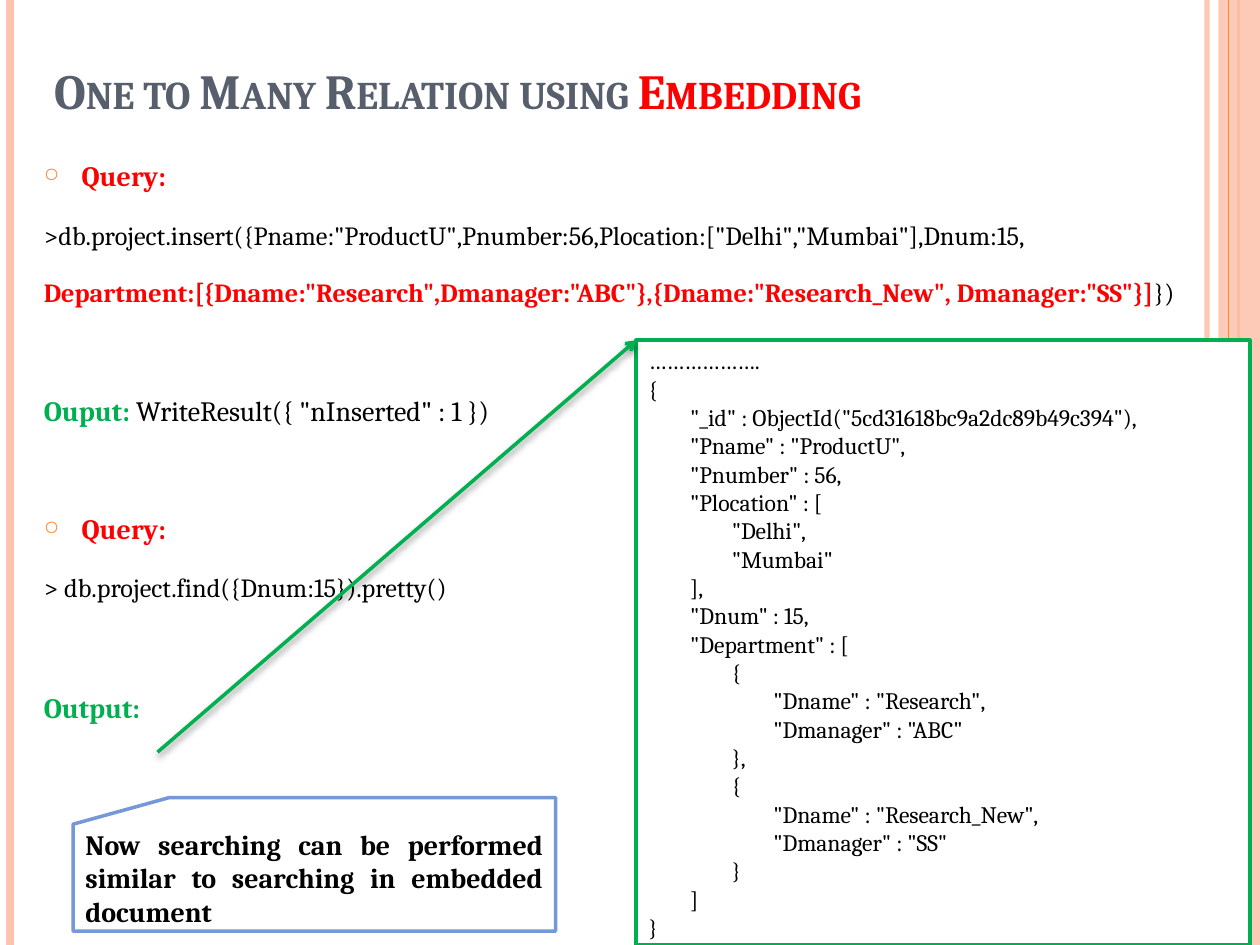
from dataclasses import dataclass

from lxml.etree import SubElement
from pptx import Presentation
from pptx.dml.color import RGBColor
from pptx.enum.shapes import MSO_CONNECTOR as Connector, MSO_SHAPE as Shape
from pptx.enum.text import MSO_ANCHOR as Anchor, MSO_AUTO_SIZE as AutoSize, PP_ALIGN as Align
from pptx.oxml.ns import qn
from pptx.util import Inches, Pt

WIDTH, HEIGHT = 10, 7.5


@dataclass(frozen=True)
class Theme:
    font: str = "Cambria"
    title: str = "575F6D"
    text: str = "000000"
    red: str = "FF0000"
    green: str = "00B050"
    blue: str = "7598D9"
    orange: str = "FE8637"
    peach: str = "FEC3AE"
    white: str = "FFFFFF"
    title_size: float = 28
    label_size: float = 16
    query_size: float = 15
    code_size: float = 13.5
    code_indent: float = 0.33


THEME = Theme()


@dataclass(frozen=True)
class Stripe:
    x: float
    color: str
    weight: float
    alpha: int = 100


@dataclass(frozen=True)
class Span:
    text: str
    color: str = THEME.text
    bold: bool = False
    size: float = THEME.query_size


@dataclass(frozen=True)
class Line:
    spans: tuple[Span, ...]
    before: float = 6
    bullet: bool = False


def label(text: str, color: str) -> Span:
    return Span(text, color, True, THEME.label_size)


QUERY = label("Query:", THEME.red)
STRIPES = (
    Stripe(9.58, THEME.peach, 3, 93),
    Stripe(0.08, THEME.peach, 4.5),
    Stripe(9.83, THEME.orange, 1.5),
)
OVERLAY_STRIPE = Stripe(9.75, THEME.orange, 0.75)
BODY = (
    Line((QUERY,), bullet=True),
    Line((Span('>db.project.insert({Pname:"ProductU",Pnumber:56,'
               'Plocation:["Delhi","Mumbai"],Dnum:15,'),)),
    Line((Span('Department:[{Dname:"Research",Dmanager:"ABC"},'
               '{Dname:"Research_New", Dmanager:"SS"}]', THEME.red, True),
          Span("})"))),
    Line((label("Ouput: ", THEME.green),
          Span('WriteResult({ "nInserted" : 1 })', size=THEME.label_size)), before=39),
    Line((QUERY,), before=39, bullet=True),
    Line((Span("> db.project.find({Dnum:15}).pretty()"),)),
    Line((label("Output:", THEME.green),), before=40.5),
)
# Depth of nesting and text of each output line
RESULT = (
    (0, "………………."),
    (0, "{"),
    (1, '"_id" : ObjectId("5cd31618bc9a2dc89b49c394"),'),
    (1, '"Pname" : "ProductU",'),
    (1, '"Pnumber" : 56,'),
    (1, '"Plocation" : ['),
    (2, '"Delhi",'),
    (2, '"Mumbai"'),
    (1, "],"),
    (1, '"Dnum" : 15,'),
    (1, '"Department" : ['),
    (2, "{"),
    (3, '"Dname" : "Research",'),
    (3, '"Dmanager" : "ABC"'),
    (2, "},"),
    (2, "{"),
    (3, '"Dname" : "Research_New",'),
    (3, '"Dmanager" : "SS"'),
    (2, "}"),
    (1, "]"),
    (0, "}"),
)


def rgb(color: str) -> RGBColor:
    return RGBColor.from_string(color)


def set_alpha(fill, percent: int) -> None:
    if percent < 100:
        color = fill._xPr.find(qn("a:solidFill"))[0]
        SubElement(color, qn("a:alpha"), val=str(percent * 1000))


def style(font, size: float, color: str, bold: bool = False) -> None:
    font.name, font.size, font.bold = THEME.font, Pt(size), bold
    font.color.rgb = rgb(color)


def add_line(page, start, end, color: str, weight: float, alpha: int = 100):
    """Draw a straight line and return it with its empty effect list."""
    line = page.shapes.add_connector(Connector.STRAIGHT, *map(Inches, (*start, *end)))
    line.line.width = Pt(weight)
    line.line.color.rgb = rgb(color)
    set_alpha(line.line.fill, alpha)
    return line, SubElement(line._element.spPr, qn("a:effectLst"))


def add_stripe(page, stripe: Stripe) -> None:
    add_line(page, (stripe.x, 0), (stripe.x, HEIGHT), stripe.color, stripe.weight, stripe.alpha)


def add_panel(page, kind, bounds, fill: str, border: str | None = None, alpha: int = 100):
    panel = page.shapes.add_shape(kind, *map(Inches, bounds))
    panel.shadow.inherit = False
    panel.fill.solid()
    panel.fill.fore_color.rgb = rgb(fill)
    set_alpha(panel.fill, alpha)
    if border:
        panel.line.color.rgb = rgb(border)
        panel.line.width = Pt(2)
    else:
        panel.line.fill.background()
    panel.text_frame.word_wrap = True
    return panel


def add_spans(para, spans: tuple[Span, ...]) -> None:
    for span in spans:
        run = para.add_run()
        run.text = span.text
        style(run.font, span.size, span.color, span.bold)


def add_bullet(para) -> None:
    props = para._p.get_or_add_pPr()
    props.set("marL", str(Inches(0.3)))
    props.set("indent", str(Inches(-0.3)))
    SubElement(SubElement(props, qn("a:buClr")), qn("a:srgbClr"), val=THEME.orange)
    SubElement(props, qn("a:buSzPct"), val="70000")
    SubElement(props, qn("a:buChar"), char="○")


def paragraphs(frame, items):
    """Pair each item with a paragraph, using the first one already there."""
    for index, item in enumerate(items):
        yield (frame.add_paragraph() if index else frame.paragraphs[0]), item


def add_title(page) -> None:
    title = page.shapes.title
    title.left, title.top, title.width, title.height = map(Inches, (0.33, -0.25, 8.92, 1.25))
    frame = title.text_frame
    frame.vertical_anchor, frame.auto_size = Anchor.BOTTOM, AutoSize.NONE
    para = frame.paragraphs[0]
    para.alignment = Align.LEFT
    add_spans(para, (Span("One to Many Relation using ", THEME.title, True, THEME.title_size),
                     Span("Embedding", THEME.red, True, THEME.title_size)))
    for run in para.runs:
        run.font._element.set("cap", "small")


def add_body(page) -> None:
    box = page.shapes.add_textbox(*map(Inches, (0.25, 1.08, 9.17, 5.33)))
    box.text_frame.word_wrap = True
    for para, line in paragraphs(box.text_frame, BODY):
        para.line_spacing, para.space_before = 1.5, Pt(line.before)
        if line.bullet:
            add_bullet(para)
        add_spans(para, line.spans)


def add_result(page) -> None:
    panel = add_panel(page, Shape.RECTANGLE, (5.05, 2.7, 4.87, 4.8), THEME.white, THEME.green)
    panel.text_frame.vertical_anchor = Anchor.TOP
    for para, (depth, text) in paragraphs(panel.text_frame, RESULT):
        para.text, para.alignment = text, Align.LEFT
        style(para.font, THEME.code_size, THEME.text)
        para._p.get_or_add_pPr().set("marL", str(Inches(depth * THEME.code_indent)))


def add_arrow(page) -> None:
    arrow, effects = add_line(page, (1.25, 5.97), (5.05, 2.7), THEME.green, 2)
    SubElement(arrow.line._get_or_add_ln(), qn("a:tailEnd"), type="arrow")
    shadow = SubElement(effects, qn("a:outerShdw"), blurRad=str(Pt(4)), dist=str(Pt(2)),
                        dir=str(90 * 60000), rotWithShape="0")
    color = SubElement(shadow, qn("a:srgbClr"), val=THEME.text)
    SubElement(color, qn("a:alpha"), val="40000")


def add_note(page) -> None:
    card = add_panel(page, Shape.FLOWCHART_CARD, (0.58, 6.33, 3.83, 1.06), THEME.white, THEME.blue)
    card.text_frame.vertical_anchor = Anchor.MIDDLE
    para = card.text_frame.paragraphs[0]
    para.text = "Now searching can be performed similar to searching in embedded document"
    para.alignment = Align.JUSTIFY
    style(para.font, THEME.label_size, THEME.text, True)


def main() -> None:
    deck = Presentation()
    deck.slide_width, deck.slide_height = Inches(WIDTH), Inches(HEIGHT)
    page = deck.slides.add_slide(deck.slide_layouts[5])
    # Side stripes
    for stripe in STRIPES:
        add_stripe(page, stripe)
    add_panel(page, Shape.RECTANGLE, (9.67, 0, 0.33, HEIGHT), THEME.peach, alpha=87)
    add_stripe(page, OVERLAY_STRIPE)
    # Queries, their output and the closing note
    add_title(page)
    add_body(page)
    add_result(page)
    add_arrow(page)
    add_note(page)
    deck.save("out.pptx")


if __name__ == "__main__":
    main()
